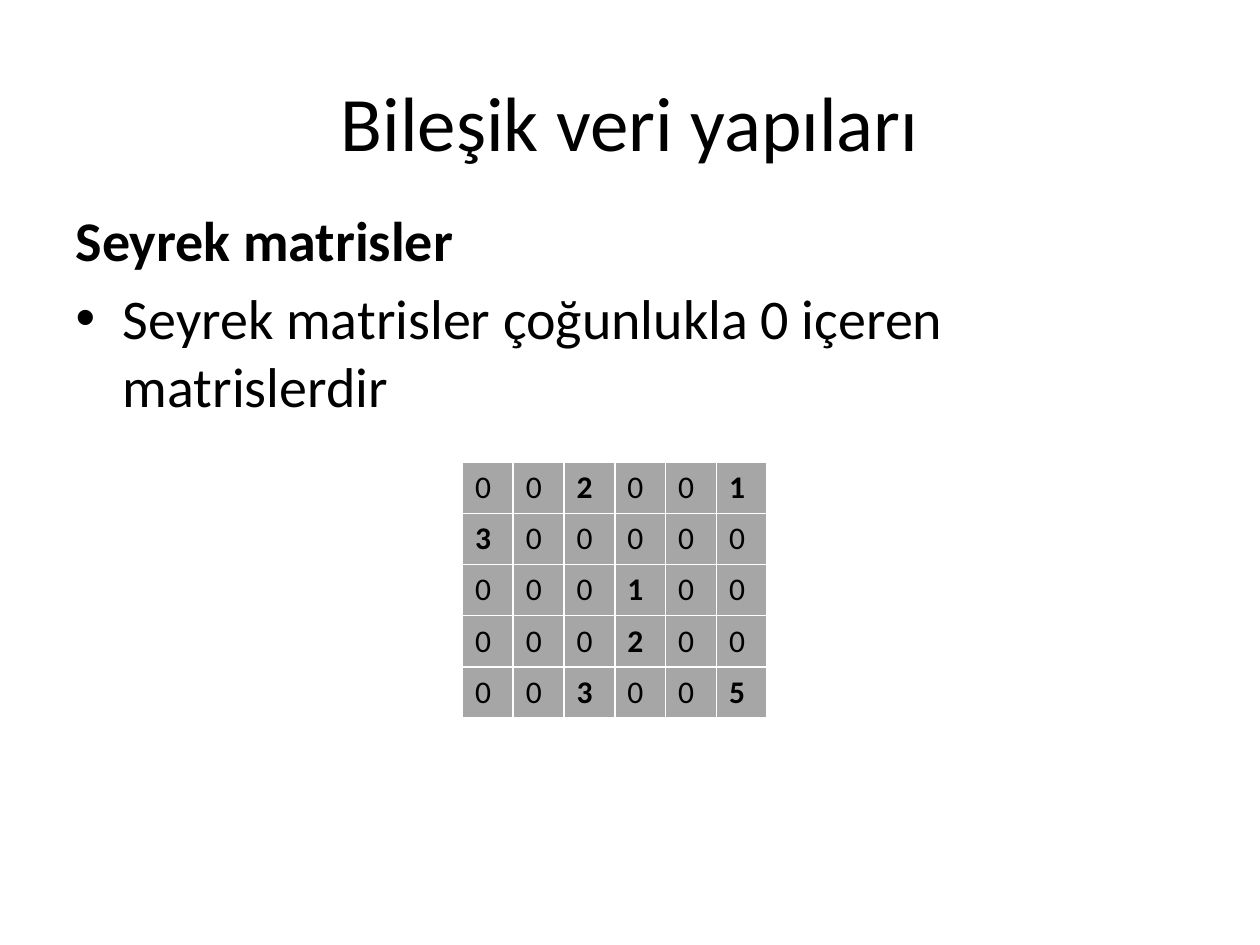
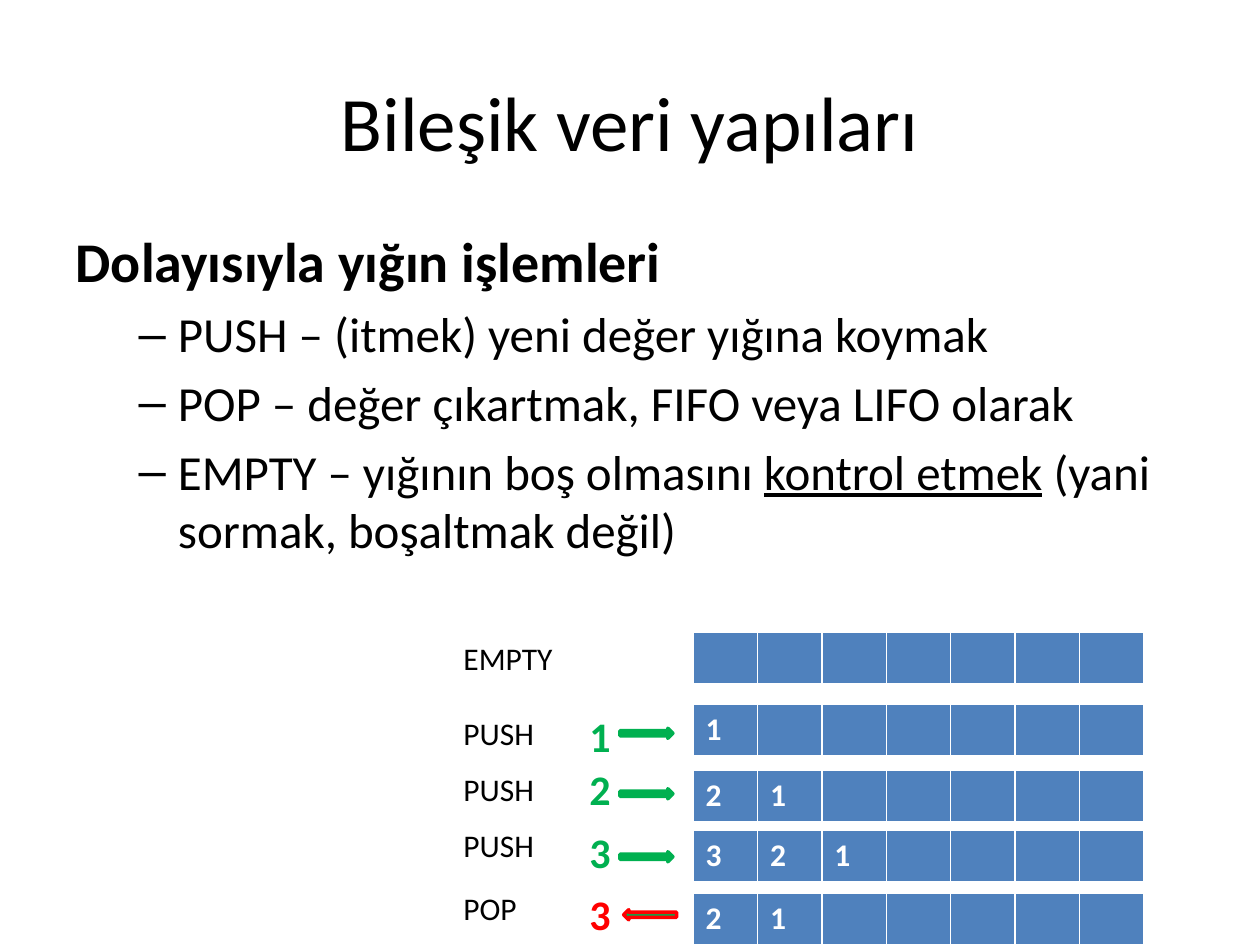
from pptx import Presentation
from pptx.dml.color import RGBColor
from pptx.enum.shapes import MSO_SHAPE
from pptx.enum.text import MSO_ANCHOR, MSO_AUTO_SIZE, PP_ALIGN
from pptx.oxml.ns import qn
from pptx.util import Inches, Pt
from lxml.etree import SubElement

FONT = "Calibri"
BLACK, WHITE, GRAY, BLUE = "000000", "FFFFFF", "A6A6A6", "4F81BD"
GREEN, RED = "00B050", "FF0000"
SIZES = (32, 28)

TITLE = "Bileşik veri yapıları"
SPARSE_TEXT = [
    (0, ["Seyrek matrisler"]),
    (0, ["Seyrek matrisler çoğunlukla 0 içeren matrislerdir"]),
]
SPARSE_MATRIX = ["002001", "300000", "000100", "000200", "003005"]

STACK_TEXT = [
    (0, ["Dolayısıyla yığın işlemleri"]),
    (1, ["PUSH – (itmek) yeni değer yığına koymak"]),
    (1, ["POP – değer çıkartmak, FIFO veya LIFO olarak"]),
    (1, ["EMPTY – yığının boş olmasını ", "kontrol etmek",
         " (yani sormak, boşaltmak değil)"]),
]
UNDERLINED = "kontrol etmek"
STACK_SLOTS = 7
# operation, value, stack, then tops of stack, label, value and arrow
STEPS = [
    ("EMPTY", "", "", 5.02, 5.02, None, None),
    ("PUSH", "1", "1", 5.59, 5.62, 5.59, 5.78),
    ("PUSH", "2", "21", 6.11, 6.06, 6.01, 6.26),
    ("PUSH", "3", "321", 6.59, 6.51, 6.51, 6.76),
    ("POP", "3", "21", 7.09, 7.01, 7.0, 7.22),
]
LABEL_WIDTH = {"EMPTY": 0.91, "PUSH": 0.77, "POP": 0.63}


def rgb(color):
    return RGBColor.from_string(color)


def box(*lengths):
    return [Inches(n) for n in lengths]


def style(r, size, color=BLACK, bold=False):
    r.font.name, r.font.size, r.font.bold = FONT, Pt(size), bold
    r.font.color.rgb = rgb(color)


def place(sp, *lengths):
    sp.left, sp.top, sp.width, sp.height = box(*lengths)


def add_slide(prs, lines, body_top, body_height):
    s = prs.slides.add_slide(prs.slide_layouts[1])
    title, body = s.placeholders
    place(title, 0.5, 0.33, 9, 1.25)
    title.text_frame.text = TITLE
    title.text_frame.vertical_anchor = MSO_ANCHOR.MIDDLE
    p = title.text_frame.paragraphs[0]
    p.alignment = PP_ALIGN.CENTER
    style(p.runs[0], 44)

    place(body, 0.5, body_top, 9, body_height)
    tf = body.text_frame
    for i, (level, parts) in enumerate(lines):
        p = tf.add_paragraph() if i else tf.paragraphs[0]
        p.level = level
        if i == 0:
            p.space_before = Pt(0)
            SubElement(p._p.get_or_add_pPr(), qn("a:buNone"))
        for part in parts:
            r = p.add_run()
            r.text = part
            style(r, SIZES[level], bold=i == 0)
            if part == UNDERLINED:
                r.font.underline = True
    return s


def add_grid(s, rows, columns, at, fill, color, header, is_bold):
    table = s.shapes.add_table(len(rows), columns, *box(*at)).table
    table.first_row, table.horz_banding = header, False
    for i, row in enumerate(rows):
        for j, value in enumerate(row.ljust(columns)):
            cell = table.cell(i, j)
            cell.fill.solid()
            cell.fill.fore_color.rgb = rgb(fill)
            if value.strip():
                cell.text_frame.text = value
                style(cell.text_frame.paragraphs[0].runs[0], 18, color, is_bold(value))


def add_label(s, text, at, size, color=BLACK, bold=False):
    tf = s.shapes.add_textbox(*box(*at)).text_frame
    tf.word_wrap = False
    tf.auto_size = MSO_AUTO_SIZE.SHAPE_TO_FIT_TEXT
    tf.text = text
    style(tf.paragraphs[0].runs[0], size, color, bold)


def add_arrow(s, top, is_pop):
    sp = s.shapes.add_shape(MSO_SHAPE.RIGHT_ARROW,
                            *box(4.95 if is_pop else 4.92, top, 0.42, 0.08))
    sp.shadow.inherit = False
    sp.rotation = 180 if is_pop else 0
    sp.fill.solid()
    sp.fill.fore_color.rgb = rgb(GREEN)
    sp.line.color.rgb = rgb(RED if is_pop else GREEN)
    sp.line.width = Pt(2)


def main():
    prs = Presentation()
    prs.slide_width, prs.slide_height = box(10, 7.5)

    s = add_slide(prs, SPARSE_TEXT, 1.58, 5.33)
    add_grid(s, SPARSE_MATRIX, 6, (3.67, 3.67, 2.42, 2.02), GRAY, BLACK,
             False, lambda value: value != "0")

    s = add_slide(prs, STACK_TEXT, 1.75, 4.95)
    for name, value, stack, stack_top, label_top, value_top, arrow_top in STEPS:
        add_grid(s, [stack], STACK_SLOTS, (5.5, stack_top, 3.58, 0.41), BLUE, WHITE,
                 True, lambda value: True)
        add_label(s, name, (3.58, label_top, LABEL_WIDTH[name], 0.4), 18)
        if value:
            is_pop = name == "POP"
            add_label(s, value, (4.58, value_top, 0.37, 0.5), 24,
                      RED if is_pop else GREEN, True)
            add_arrow(s, arrow_top, is_pop)

    prs.save("out.pptx")


if __name__ == "__main__":
    main()
